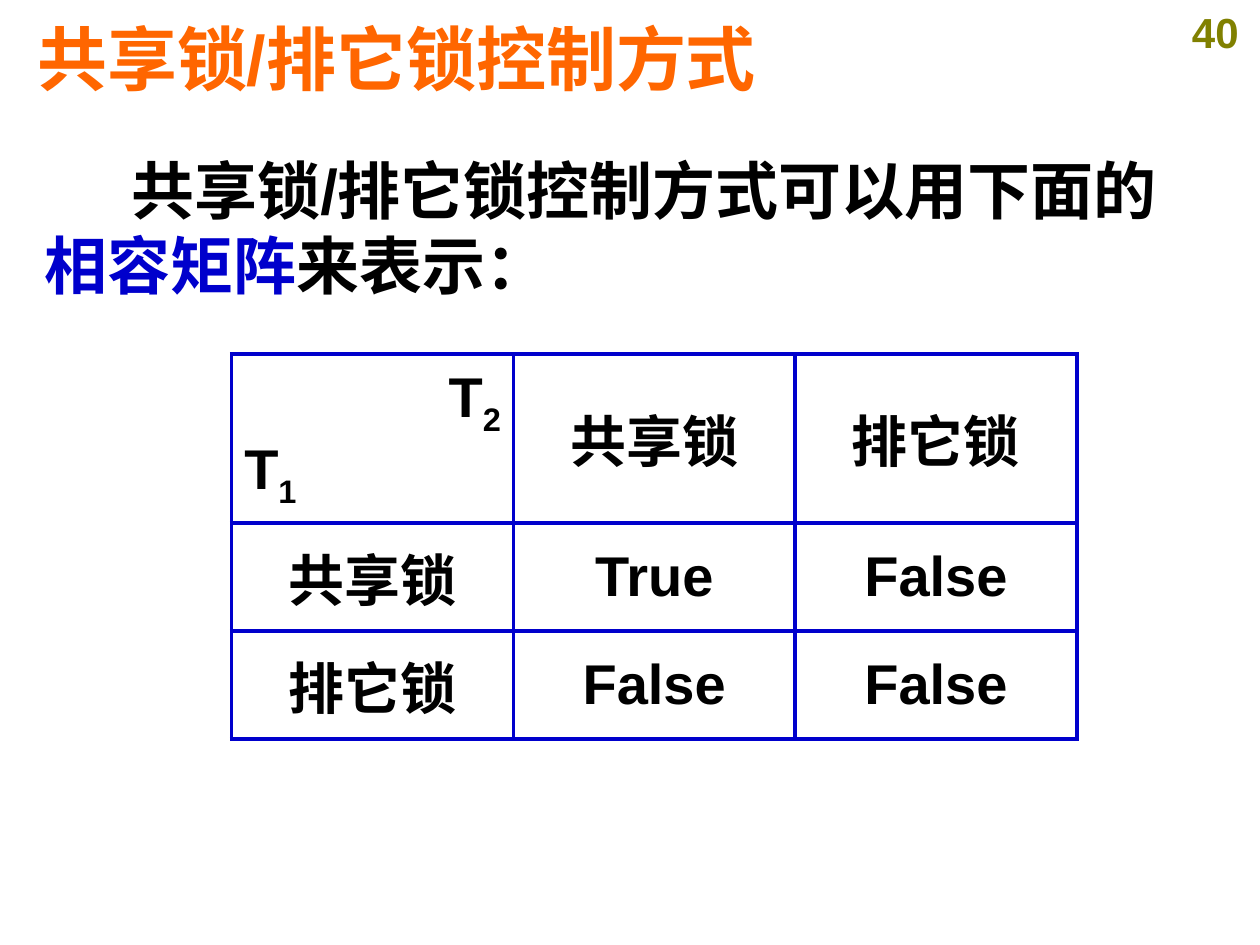
from dataclasses import dataclass
from lxml.etree import SubElement
from pptx import Presentation
from pptx.dml.color import RGBColor
from pptx.enum.text import MSO_ANCHOR, PP_ALIGN
from pptx.oxml.ns import qn
from pptx.util import Cm, Pt


@dataclass(frozen=True)
class Theme:
    orange: str = "FF6600"
    olive: str = "808000"
    blue: str = "0000CC"
    black: str = "000000"
    title: int = 40
    body: int = 36
    cell: int = 32
    number: int = 24
    border: float = 2.25
    sans: str = "Arial"
    serif: str = "Times New Roman"


theme = Theme()


def add_run(p, text, size, color=theme.black, font=theme.sans):
    r = p.add_run()
    r.text = text
    r.font.size = Pt(size)
    r.font.bold = True
    r.font.name = font
    r.font.color.rgb = RGBColor.from_string(color)
    return r


def add_text(left, top, width, height):
    tf = s.shapes.add_textbox(Cm(left), Cm(top), Cm(width), Cm(height)).text_frame
    tf.word_wrap = True
    return tf


prs = Presentation()
prs.slide_width, prs.slide_height = Cm(25.4), Cm(19.05)
s = prs.slides.add_slide(prs.slide_layouts[6])

p = add_text(23.6, 0, 1.8, 1.27).paragraphs[0]
p.alignment = PP_ALIGN.CENTER
add_run(p, "40", theme.number, theme.olive)

tf = add_text(0.5, 0.2, 24.13, 1.93)
tf.vertical_anchor = MSO_ANCHOR.MIDDLE
add_run(tf.paragraphs[0], "共享锁/排它锁控制方式", theme.title, theme.orange)

p = add_text(0.64, 2.92, 24.08, 15.39).paragraphs[0]
p._p.get_or_add_pPr().set("indent", str(Cm(1.76)))
add_run(p, "共享锁/排它锁", theme.body)
for text, color in [("控制方式可以用下面的", theme.black), ("相容矩阵", theme.blue), ("来表示：", theme.black)]:
    add_run(p, text, theme.body, color, theme.serif)

locks = ["共享锁", "排它锁"]
matrix = [["", *locks], [locks[0], "True", "False"], [locks[1], "False", "False"]]
table = s.shapes.add_table(3, 3, Cm(4.67), Cm(7.14), Cm(17.04), Cm(7.76)).table
table.first_row = table.horz_banding = False
for column in table.columns:
    column.width = Cm(5.68)
for row, height in zip(table.rows, [3.4, 2.18, 2.18]):
    row.height = Cm(height)

for row, texts in zip(table.rows, matrix):
    for cell, text in zip(row.cells, texts):
        cell.vertical_anchor = MSO_ANCHOR.MIDDLE
        tcPr = cell._tc.get_or_add_tcPr()
        for side in ["lnL", "lnR", "lnT", "lnB"]:
            ln = SubElement(tcPr, qn(f"a:{side}"), w=str(Pt(theme.border)))
            SubElement(SubElement(ln, qn("a:solidFill")), qn("a:srgbClr"), val=theme.blue)
        cell.fill.background()
        if text:
            p = cell.text_frame.paragraphs[0]
            p.alignment = PP_ALIGN.CENTER
            add_run(p, text, theme.cell)

tf = table.cell(0, 0).text_frame
for p, index, align in [
    (tf.paragraphs[0], "2", PP_ALIGN.RIGHT),
    (tf.add_paragraph(), "1", PP_ALIGN.LEFT),
]:
    p.alignment = align
    add_run(p, "T", theme.cell)
    r = add_run(p, index, theme.cell)
    r.font._element.set("baseline", "-25000")

prs.save("out.pptx")
